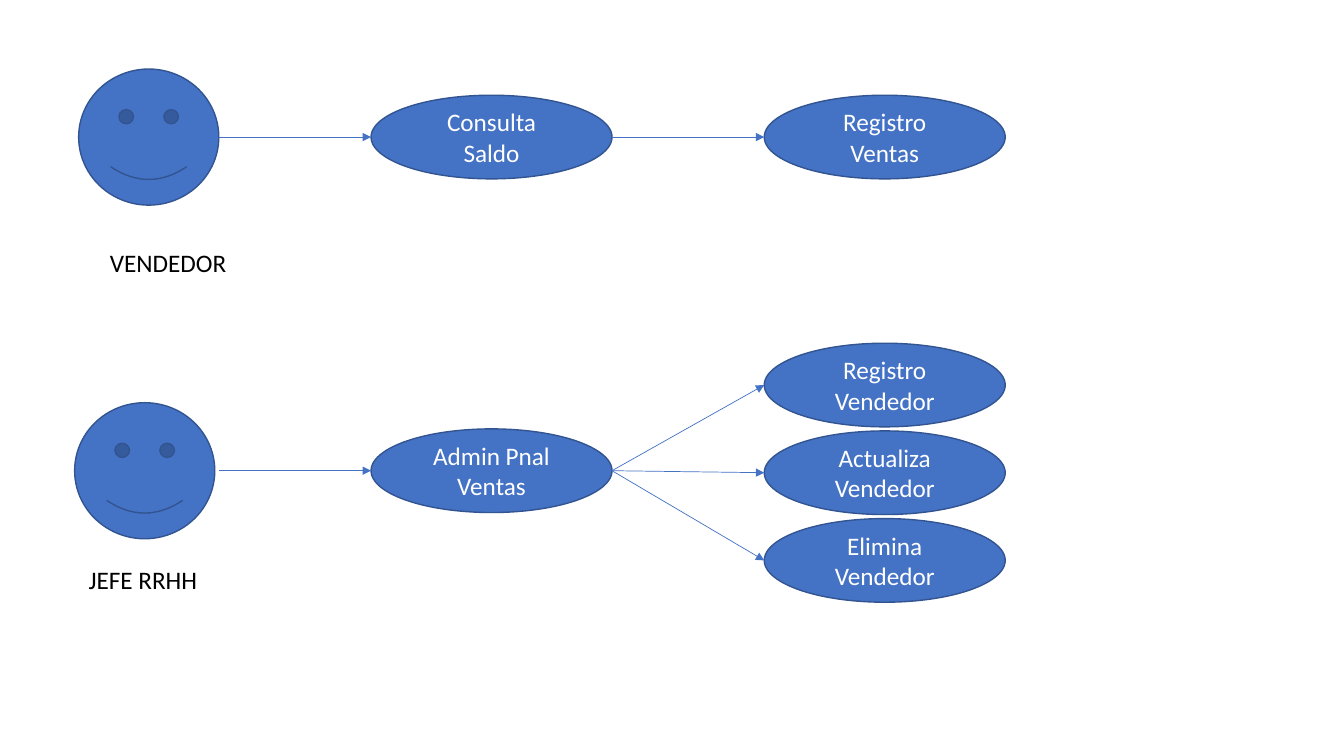
from typing import NamedTuple

from lxml import etree
from pptx import Presentation
from pptx.dml.color import RGBColor
from pptx.enum.shapes import MSO_CONNECTOR, MSO_SHAPE
from pptx.enum.text import MSO_ANCHOR, PP_ALIGN
from pptx.oxml.ns import qn
from pptx.util import Inches, Pt

STRAIGHT = MSO_CONNECTOR.STRAIGHT
FACE, ELLIPSE = MSO_SHAPE.SMILEY_FACE, MSO_SHAPE.OVAL
MIDDLE, CENTER = MSO_ANCHOR.MIDDLE, PP_ALIGN.CENTER

COLORS = {"fill": "4472C4", "outline": "325491", "light": "FFFFFF", "dark": "000000"}
FONT = "Calibri"
FACE_WIDTH, FACE_HEIGHT = 1.39, 1.35
CASE_WIDTH, CASE_HEIGHT = 2.39, 0.83
LABEL_WIDTH, LABEL_HEIGHT = 1.61, 0.41
ARROW_START = 2.17
FIRST_COLUMN, COLUMN_STEP = 3.68, 3.9
RESULT_STEP = 0.87


class Actor(NamedTuple):
    name: str
    center: float
    face_left: float
    label_left: float
    label_top: float
    use_case: str
    results: tuple[str, ...]
    results_center: float


ACTORS = (
    Actor("VENDEDOR", 1.36, 0.78, 0.99, 2.4, "Consulta Saldo", ("Registro Ventas",), 1.36),
    Actor("JEFE RRHH", 4.67, 0.74, 0.78, 5.55, "Admin Pnal Ventas",
          ("Registro Vendedor", "Actualiza Vendedor", "Elimina Vendedor"), 4.69),
)


def color(name: str) -> RGBColor:
    return RGBColor.from_string(COLORS[name])


def write(frame, text: str, font_color: str) -> None:
    frame.word_wrap = True
    para = frame.paragraphs[0]
    para.text = text
    para.font.name = FONT
    para.font.size = Pt(18)
    para.font.color.rgb = color(font_color)


def add_figure(kind, left: float, center: float, width: float, height: float):
    figure = slide.shapes.add_shape(
        kind, Inches(left), Inches(center - height / 2), Inches(width), Inches(height))
    figure.shadow.inherit = False
    figure.fill.solid()
    figure.fill.fore_color.rgb = color("fill")
    figure.line.color.rgb = color("outline")
    figure.line.width = Pt(1)
    return figure


def add_use_case(text: str, column: int, center: float) -> None:
    left = FIRST_COLUMN + column * COLUMN_STEP
    frame = add_figure(ELLIPSE, left, center, CASE_WIDTH, CASE_HEIGHT).text_frame
    frame.margin_left = frame.margin_right = Inches(0.12)
    frame.vertical_anchor = MIDDLE
    write(frame, text, "light")
    frame.paragraphs[0].alignment = CENTER


def add_arrow(start: float, start_center: float, end: float, end_center: float) -> None:
    arrow = slide.shapes.add_connector(
        STRAIGHT, Inches(start), Inches(start_center), Inches(end), Inches(end_center))
    arrow.line.color.rgb = color("fill")
    arrow.line.width = Pt(0.5)
    etree.SubElement(arrow.line._get_or_add_ln(), qn("a:tailEnd"), type="triangle")
    etree.SubElement(arrow._element.spPr, qn("a:effectLst"))


def add_label(actor: Actor) -> None:
    box = slide.shapes.add_textbox(
        Inches(actor.label_left), Inches(actor.label_top),
        Inches(LABEL_WIDTH), Inches(LABEL_HEIGHT))
    write(box.text_frame, actor.name, "dark")


def add_flow(actor: Actor) -> None:
    add_figure(FACE, actor.face_left, actor.center, FACE_WIDTH, FACE_HEIGHT)
    add_label(actor)
    add_use_case(actor.use_case, 0, actor.center)
    add_arrow(ARROW_START, actor.center, FIRST_COLUMN, actor.center)
    for index, result in enumerate(actor.results):
        offset = index - (len(actor.results) - 1) / 2
        center = actor.results_center + offset * RESULT_STEP
        add_use_case(result, 1, center)
        add_arrow(FIRST_COLUMN + CASE_WIDTH, actor.center,
                  FIRST_COLUMN + COLUMN_STEP, center)


deck = Presentation()
deck.slide_width, deck.slide_height = Inches(13.33), Inches(7.5)
slide = deck.slides.add_slide(deck.slide_layouts[6])
for actor in ACTORS:
    add_flow(actor)
deck.save("out.pptx")
